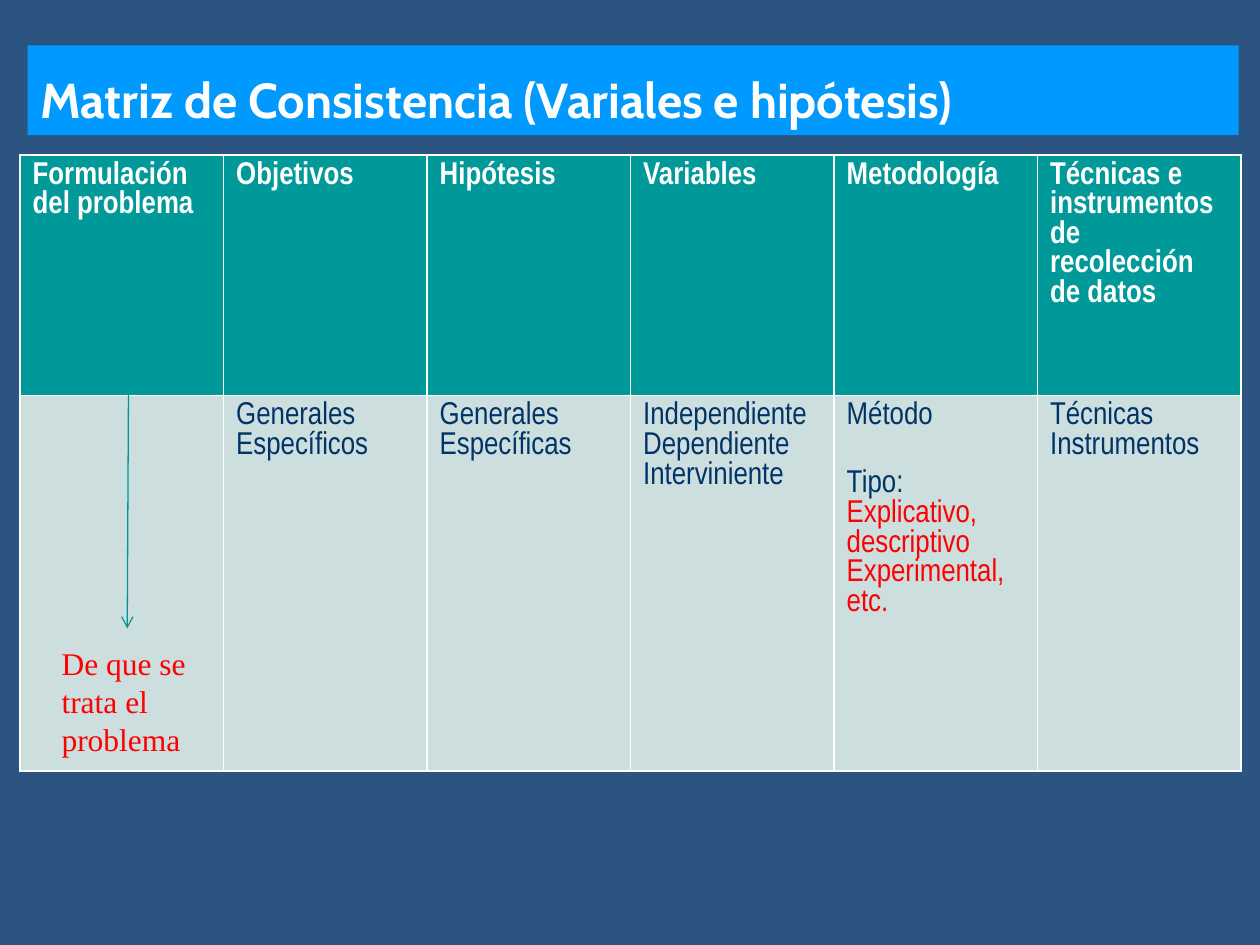
from lxml.etree import SubElement
from pptx import Presentation
from pptx.dml.color import RGBColor
from pptx.enum.shapes import MSO_CONNECTOR as Connector
from pptx.enum.text import MSO_ANCHOR as Anchor, MSO_AUTO_SIZE as AutoSize, PP_ALIGN as Align
from pptx.oxml.ns import qn
from pptx.util import Inches, Pt

NAVY = RGBColor(0x2B, 0x54, 0x81)
BLUE = RGBColor(0x00, 0x99, 0xFF)
TEAL = RGBColor(0x00, 0x99, 0x99)
ARROW_TEAL = RGBColor(0x00, 0x96, 0x96)
PALE_TEAL = RGBColor(0xCC, 0xDE, 0xDE)
INK = RGBColor(0x00, 0x33, 0x66)
RED = RGBColor(0xFF, 0x00, 0x00)
WHITE = RGBColor(0xFF, 0xFF, 0xFF)

HEADINGS = ["Formulación del problema", "Objetivos", "Hipótesis", "Variables",
            "Metodología", "Técnicas e instrumentos de recolección de datos"]
# Each cell is a list of paragraphs; a paragraph is a list of (text, colour) runs.
DETAILS = [
    [],
    [[("Generales", INK)], [("Específicos", INK)]],
    [[("Generales", INK)], [("Específicas", INK)]],
    [[("Independiente", INK)], [("Dependiente", INK)], [("Interviniente", INK)]],
    [[("Método", INK)],
     [("Tipo: ", INK), ("Explicativo, descriptivo", RED)],
     [("Experimental, etc.", RED)]],
    [[("Técnicas", INK)], [("Instrumentos", INK)]],
]
METHODOLOGY = HEADINGS.index("Metodología")


def add_run(paragraph, text, font="Arial Narrow", size=18, color=INK, bold=False):
    run = paragraph.add_run()
    run.text = text
    run.font.name = font
    run.font.size = Pt(size)
    run.font.bold = bold
    run.font.color.rgb = color


class MatrixSlide:
    """Holds the slide; lengths are percentages of its width and height."""

    def __init__(self, deck):
        self.width, self.height = deck.slide_width, deck.slide_height
        self.slide = deck.slides.add_slide(deck.slide_layouts[5])
        self.slide.background.fill.solid()
        self.slide.background.fill.fore_color.rgb = NAVY

    def across(self, percent):
        return round(self.width * percent / 100)

    def down(self, percent):
        return round(self.height * percent / 100)

    def box(self, left, top, width, height):
        return self.across(left), self.down(top), self.across(width), self.down(height)

    def title(self, text, *area):
        banner = self.slide.shapes.title
        banner.left, banner.top, banner.width, banner.height = self.box(*area)
        banner.fill.solid()
        banner.fill.fore_color.rgb = BLUE
        frame = banner.text_frame
        frame.auto_size = AutoSize.NONE
        frame.vertical_anchor = Anchor.BOTTOM
        frame.paragraphs[0].alignment = Align.JUSTIFY
        add_run(frame.paragraphs[0], text, font="Cabin", size=28, color=WHITE, bold=True)

    def matrix(self, headings, details, row_heights, left, top, width):
        area = self.box(left, top, width, sum(row_heights))
        table = self.slide.shapes.add_table(2, len(headings), *area).table
        for row, height in zip(table.rows, row_heights):
            row.height = self.down(height)
        for column, (heading, detail) in enumerate(zip(headings, details)):
            self.cell(table.cell(0, column), [[(heading, WHITE)]], TEAL, bold=True)
            self.cell(table.cell(1, column), detail, PALE_TEAL)
        return table

    def cell(self, cell, paragraphs, fill, bold=False):
        cell.fill.solid()
        cell.fill.fore_color.rgb = fill
        frame = cell.text_frame
        for index, runs in enumerate(paragraphs):
            paragraph = frame.add_paragraph() if index else frame.paragraphs[0]
            for text, color in runs:
                add_run(paragraph, text, color=color, bold=bold)

    def arrow(self, x1, y1, x2, y2):
        arrow = self.slide.shapes.add_connector(
            Connector.STRAIGHT, self.across(x1), self.down(y1), self.across(x2), self.down(y2))
        arrow.line.color.rgb = ARROW_TEAL
        arrow.line.width = Pt(0.75)
        SubElement(arrow.line._get_or_add_ln(), qn("a:tailEnd"), type="arrow")
        SubElement(arrow._element.spPr, qn("a:effectLst"))

    def note(self, text, *area):
        frame = self.slide.shapes.add_textbox(*self.box(*area)).text_frame
        frame.word_wrap = True
        add_run(frame.paragraphs[0], text, font="Times New Roman", color=RED)


def main():
    deck = Presentation()
    deck.slide_width, deck.slide_height = Inches(10), Inches(7.5)
    page = MatrixSlide(deck)
    page.title("Matriz de Consistencia (Variales e hipótesis)", 2.2, 4.8, 96.1, 9.5)
    table = page.matrix(HEADINGS, DETAILS, (25.47, 39.73), 1.6, 16.4, 96.9)
    study_type = table.cell(1, METHODOLOGY).text_frame.paragraphs[1]
    study_type.space_before = Pt(22)
    page.arrow(10.2, 41.5, 10.1, 66.5)
    page.note("De que se trata el problema", 3.9, 67.5, 14.8, 13.5)
    deck.save("out.pptx")


if __name__ == "__main__":
    main()
